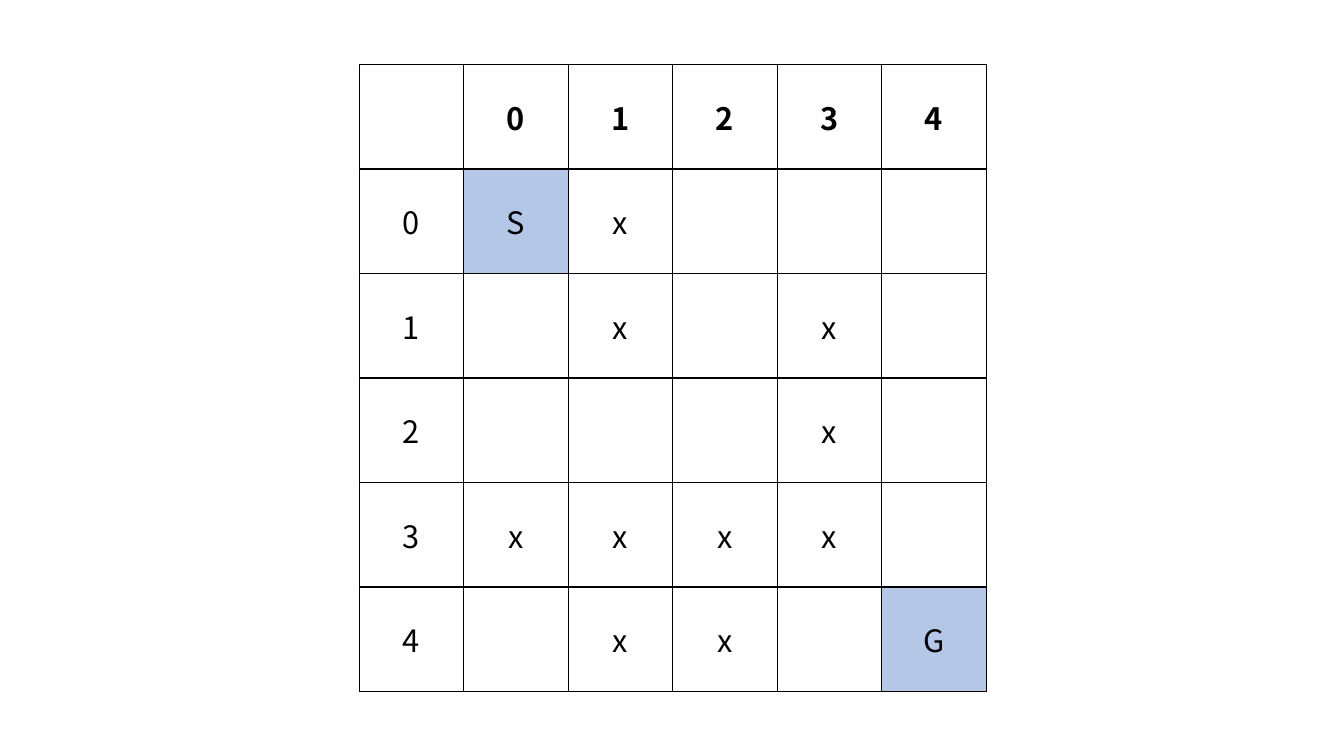
"""Build a slide with a labelled maze grid."""
from lxml.etree import SubElement
from pptx import Presentation
from pptx.dml.color import RGBColor
from pptx.enum.text import MSO_ANCHOR as Anchor, PP_ALIGN as Align
from pptx.oxml.ns import qn
from pptx.util import Pt

SCALE = 6350
FONT = "Noto Sans CJK KR"
BLACK = "000000"
MARK_FILL = "B4C7E7"
GRID_LEFT, GRID_TOP, GRID_SIZE = 513, 92, 896
MAZE = [
    "Sx...",
    ".x.x.",
    "...x.",
    "xxxx.",
    ".xx.G",
]


def px(length):
    """Turn px into EMU."""
    return length * SCALE


def color(value):
    """Turn a hex string into a colour."""
    return RGBColor.from_string(value)


def write_text(cell, text, size=22, bold=False, ink=BLACK, align=Align.CENTER):
    """Write formatted text into a cell."""
    para = cell.text_frame.paragraphs[0]
    para.alignment = align
    span = para.add_run()
    span.text = text
    span.font.name = FONT
    span.font.size = Pt(size)
    span.font.bold = bold
    span.font.color.rgb = color(ink)


def draw_borders(cell, ink=BLACK, width=1):
    """Draw a solid line on all four sides of a cell."""
    properties = cell._tc.get_or_add_tcPr()
    for side in ("a:lnL", "a:lnR", "a:lnT", "a:lnB"):
        line = SubElement(properties, qn(side), w=str(Pt(width)))
        fill = SubElement(line, qn("a:solidFill"))
        SubElement(fill, qn("a:srgbClr"), val=ink)


def format_cell(cell, fill=None):
    """Set the borders, fill, anchor and margins of a cell."""
    draw_borders(cell)
    if fill:
        cell.fill.solid()
        cell.fill.fore_color.rgb = color(fill)
    else:
        cell.fill.background()
    cell.vertical_anchor = Anchor.MIDDLE
    cell.margin_left = cell.margin_right = px(19)
    cell.margin_top = cell.margin_bottom = px(9)


def add_grid(page, maze):
    """Add the maze as a table with numbered rows and columns."""
    header = [""] + [str(number) for number in range(len(maze[0]))]
    rows = [header] + [[str(number), *line.replace(".", " ")]
                       for number, line in enumerate(maze)]
    count = len(rows)
    frame = page.shapes.add_table(count, count, px(GRID_LEFT), px(GRID_TOP),
                                  px(GRID_SIZE), px(GRID_SIZE))
    table = frame.table
    table.first_row = table.horz_banding = False
    for column in table.columns:
        column.width = px(GRID_SIZE) // count
    for row_index, row in enumerate(rows):
        table.rows[row_index].height = px(GRID_SIZE) // count
        for column_index, text in enumerate(row):
            cell = table.cell(row_index, column_index)
            format_cell(cell, fill=MARK_FILL if text in ("S", "G") else None)
            if text.strip():
                write_text(cell, text, bold=row_index == 0)


def main():
    """Build and save the deck."""
    deck = Presentation()
    deck.slide_width, deck.slide_height = px(1920), px(1080)
    page = deck.slides.add_slide(deck.slide_layouts[6])
    add_grid(page, MAZE)
    deck.save("out.pptx")


if __name__ == "__main__":
    main()
